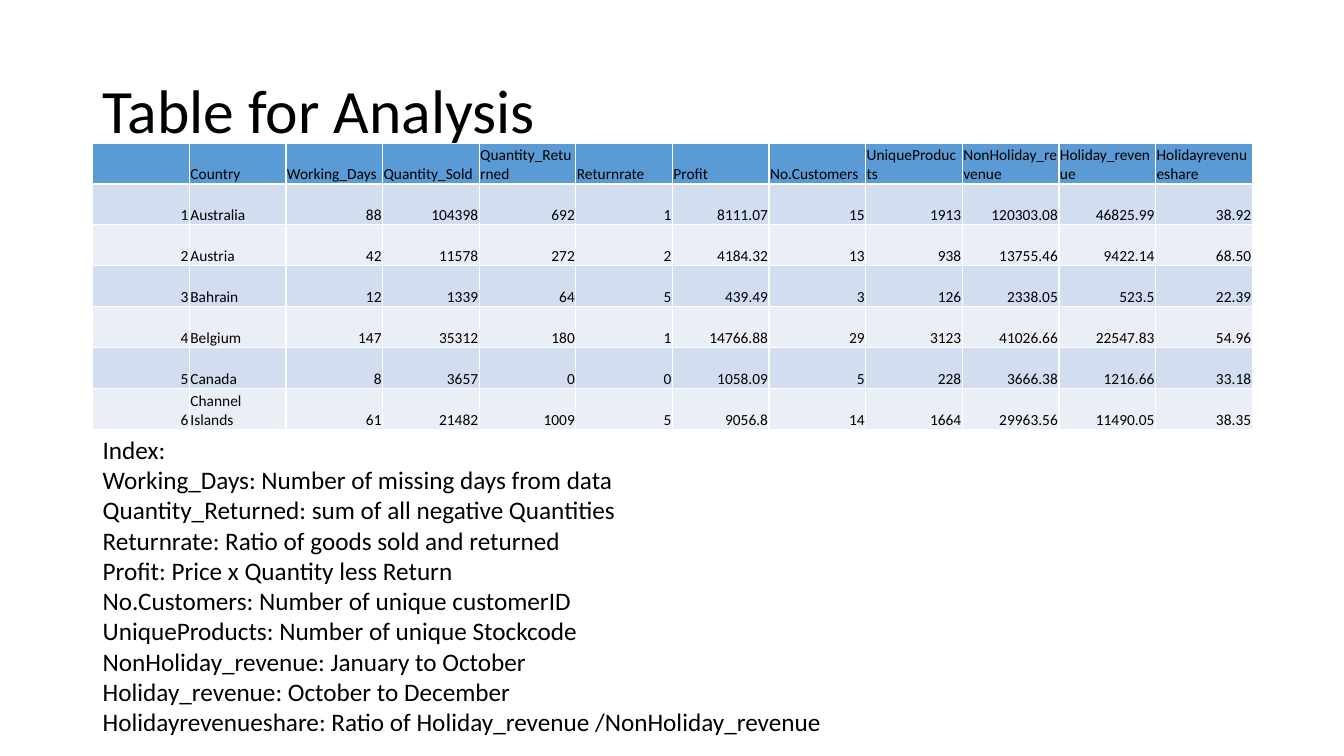
from dataclasses import dataclass

from pptx import Presentation
from pptx.dml.color import RGBColor
from pptx.enum.text import MSO_ANCHOR as Anchor, PP_ALIGN as Align
from pptx.util import Inches, Pt


@dataclass(frozen=True)
class Theme:
    """Colours, typeface and type sizes of the slide."""
    font: str = "Calibri"
    text: RGBColor = RGBColor(0, 0, 0)
    header: RGBColor = RGBColor(0x5B, 0x9B, 0xD5)
    bands: tuple = (RGBColor(0xD2, 0xDE, 0xEF), RGBColor(0xEA, 0xEF, 0xF7))
    title_size: int = 44
    index_size: int = 18
    cell_size: int = 11


THEME = Theme()
LEFT, TABLE_WIDTH, TABLE_HEIGHT = 0.92, 11.5, 2.84
COUNTRY_COLUMN = 1

HEADER = ["", "Country", "Working_Days", "Quantity_Sold", "Quantity_Returned", "Returnrate",
          "Profit", "No.Customers", "UniqueProducts", "NonHoliday_revenue", "Holiday_revenue",
          "Holidayrevenueshare"]
COUNTRIES = [
    ["Australia", "88", "104398", "692", "1", "8111.07", "15", "1913", "120303.08", "46825.99", "38.92"],
    ["Austria", "42", "11578", "272", "2", "4184.32", "13", "938", "13755.46", "9422.14", "68.50"],
    ["Bahrain", "12", "1339", "64", "5", "439.49", "3", "126", "2338.05", "523.5", "22.39"],
    ["Belgium", "147", "35312", "180", "1", "14766.88", "29", "3123", "41026.66", "22547.83", "54.96"],
    ["Canada", "8", "3657", "0", "0", "1058.09", "5", "228", "3666.38", "1216.66", "33.18"],
    ["Channel Islands", "61", "21482", "1009", "5", "9056.8", "14", "1664", "29963.56", "11490.05", "38.35"],
]
INDEX = [
    "Index:",
    "Working_Days: Number of missing days from data",
    "Quantity_Returned: sum of all negative Quantities",
    "Returnrate: Ratio of goods sold and returned",
    "Profit: Price x Quantity less Return",
    "No.Customers: Number of unique customerID",
    "UniqueProducts: Number of unique Stockcode",
    "NonHoliday_revenue: January to October",
    "Holiday_revenue: October to December",
    "Holidayrevenueshare: Ratio of Holiday_revenue /NonHoliday_revenue",
]


def style_para(para, size):
    """Give a paragraph the theme's font at the given size."""
    para.font.name = THEME.font
    para.font.size = Pt(size)
    para.font.bold = False
    para.font.color.rgb = THEME.text


def add_text(page, lines, top, width, height, size, anchor=Anchor.TOP, spacing=None):
    """Add a text box with one paragraph per line."""
    box = page.shapes.add_textbox(Inches(LEFT), Inches(top), Inches(width), Inches(height))
    frame = box.text_frame
    frame.word_wrap = True
    frame.vertical_anchor = anchor
    frame.text = "\n".join(lines)
    for para in frame.paragraphs:
        style_para(para, size)
        para.line_spacing = spacing


def fill_cell(cell, text, color, align):
    """Write one table cell, set at its bottom edge."""
    cell.fill.solid()
    cell.fill.fore_color.rgb = color
    cell.vertical_anchor = Anchor.BOTTOM
    cell.margin_left = cell.margin_right = cell.margin_top = Inches(0.01)
    cell.margin_bottom = 0
    cell.text = text
    para = cell.text_frame.paragraphs[0]
    para.alignment = align
    style_para(para, THEME.cell_size)


def add_country_table(page, top):
    """Add the table of countries with a header and two alternating bands."""
    rows = [HEADER] + [[str(number), *values] for number, values in enumerate(COUNTRIES, 1)]
    table = page.shapes.add_table(len(rows), len(HEADER), Inches(LEFT), Inches(top),
                                  Inches(TABLE_WIDTH), Inches(TABLE_HEIGHT)).table
    for r, values in enumerate(rows):
        color = THEME.bands[(r - 1) % 2] if r else THEME.header
        for c, text in enumerate(values):
            align = Align.RIGHT if r and c != COUNTRY_COLUMN else Align.LEFT
            fill_cell(table.cell(r, c), text, color, align)


def main():
    """Build the slide and save it."""
    deck = Presentation()
    deck.slide_width, deck.slide_height = Inches(13.33), Inches(7.5)
    page = deck.slides.add_slide(deck.slide_layouts[6])
    add_text(page, ["Table for Analysis"], 0.4, 11.5, 1.45, THEME.title_size, Anchor.MIDDLE, 0.9)
    add_country_table(page, 1.42)
    add_text(page, INDEX, 4.26, 10.08, 3.13, THEME.index_size)
    deck.save("out.pptx")


if __name__ == "__main__":
    main()
